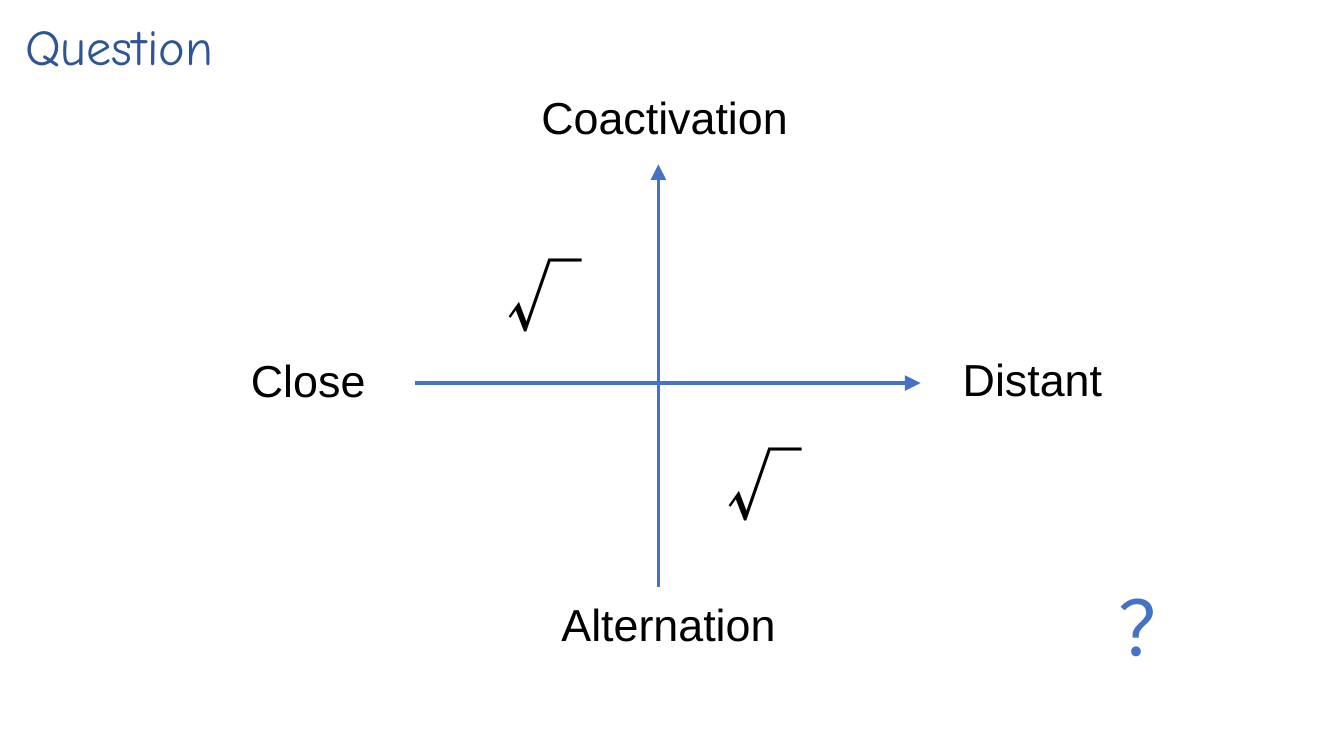
from dataclasses import dataclass

from lxml.etree import SubElement
from pptx import Presentation
from pptx.dml.color import RGBColor
from pptx.enum.shapes import MSO_CONNECTOR as Connector
from pptx.enum.text import MSO_ANCHOR as Anchor, MSO_AUTO_SIZE as AutoSize, PP_ALIGN as Align
from pptx.oxml.ns import qn
from pptx.util import Inches, Pt


@dataclass(frozen=True)
class Theme:
    title_color: str = "2F5597"
    accent: str = "4472C4"
    ink: str = "000000"
    title_font: str = "Comic Neue"
    label_font: str = "Arial"
    symbol_font: str = "Noto Sans CJK SC"
    title_size: int = 36
    label_size: int = 32
    symbol_size: int = 54
    axis_width: float = 2.25


THEME = Theme()

TITLE = ("Question", (0.15, -0.12, 2.82, 0.84))
AXES = [
    ((4.12, 3.8), (9.13, 3.8)),
    ((6.53, 5.82), (6.53, 1.63)),
]
LABEL_HEIGHT = 0.64
LABELS = [
    ("Close", 2.39, 3.45, 1.6),
    ("Distant", 9.45, 3.44, 1.6),
    ("Coactivation", 5.27, 0.84, 2.72),
    ("Alternation", 5.47, 5.87, 2.72),
]
SYMBOL_BOX = (0.96, 1.01)
SYMBOLS = [
    ("√", 4.92, 2.43, THEME.ink),
    ("√", 7.1, 4.31, THEME.ink),
    ("？", 10.99, 5.71, THEME.accent),
]


def add_text(slide, text, box, *, font, size, color, align=Align.LEFT,
             anchor=Anchor.TOP, wrap=True, auto_size=AutoSize.SHAPE_TO_FIT_TEXT,
             line_spacing=None):
    shape = slide.shapes.add_textbox(*map(Inches, box))
    frame = shape.text_frame
    frame.word_wrap = wrap
    frame.auto_size = auto_size
    frame.vertical_anchor = anchor
    paragraph = frame.paragraphs[0]
    paragraph.alignment = align
    paragraph.line_spacing = line_spacing
    run = paragraph.add_run()
    run.text = text
    run.font.name = font
    run.font.size = Pt(size)
    run.font.color.rgb = RGBColor.from_string(color)
    SubElement(run.font._element, qn("a:ea"), typeface=font)


def add_axis(slide, start, end):
    axis = slide.shapes.add_connector(Connector.STRAIGHT, *map(Inches, start + end))
    axis.line.color.rgb = RGBColor.from_string(THEME.accent)
    axis.line.width = Pt(THEME.axis_width)
    SubElement(axis.line._get_or_add_ln(), qn("a:tailEnd"), type="triangle", w="lg", len="lg")
    SubElement(axis._element.spPr, qn("a:effectLst"))


def main():
    presentation = Presentation()
    presentation.slide_width = Inches(13.33)
    presentation.slide_height = Inches(7.5)
    slide = presentation.slides.add_slide(presentation.slide_layouts[6])

    title, title_box = TITLE
    add_text(slide, title, title_box, font=THEME.title_font, size=THEME.title_size,
             color=THEME.title_color, anchor=Anchor.MIDDLE,
             auto_size=AutoSize.NONE, line_spacing=1.5)
    for start, end in AXES:
        add_axis(slide, start, end)
    for text, left, top, width in LABELS:
        add_text(slide, text, (left, top, width, LABEL_HEIGHT),
                 font=THEME.label_font, size=THEME.label_size, color=THEME.ink)
    for text, left, top, color in SYMBOLS:
        add_text(slide, text, (left, top, *SYMBOL_BOX), font=THEME.symbol_font,
                 size=THEME.symbol_size, color=color, align=Align.CENTER, wrap=False)

    presentation.save("out.pptx")


if __name__ == "__main__":
    main()
